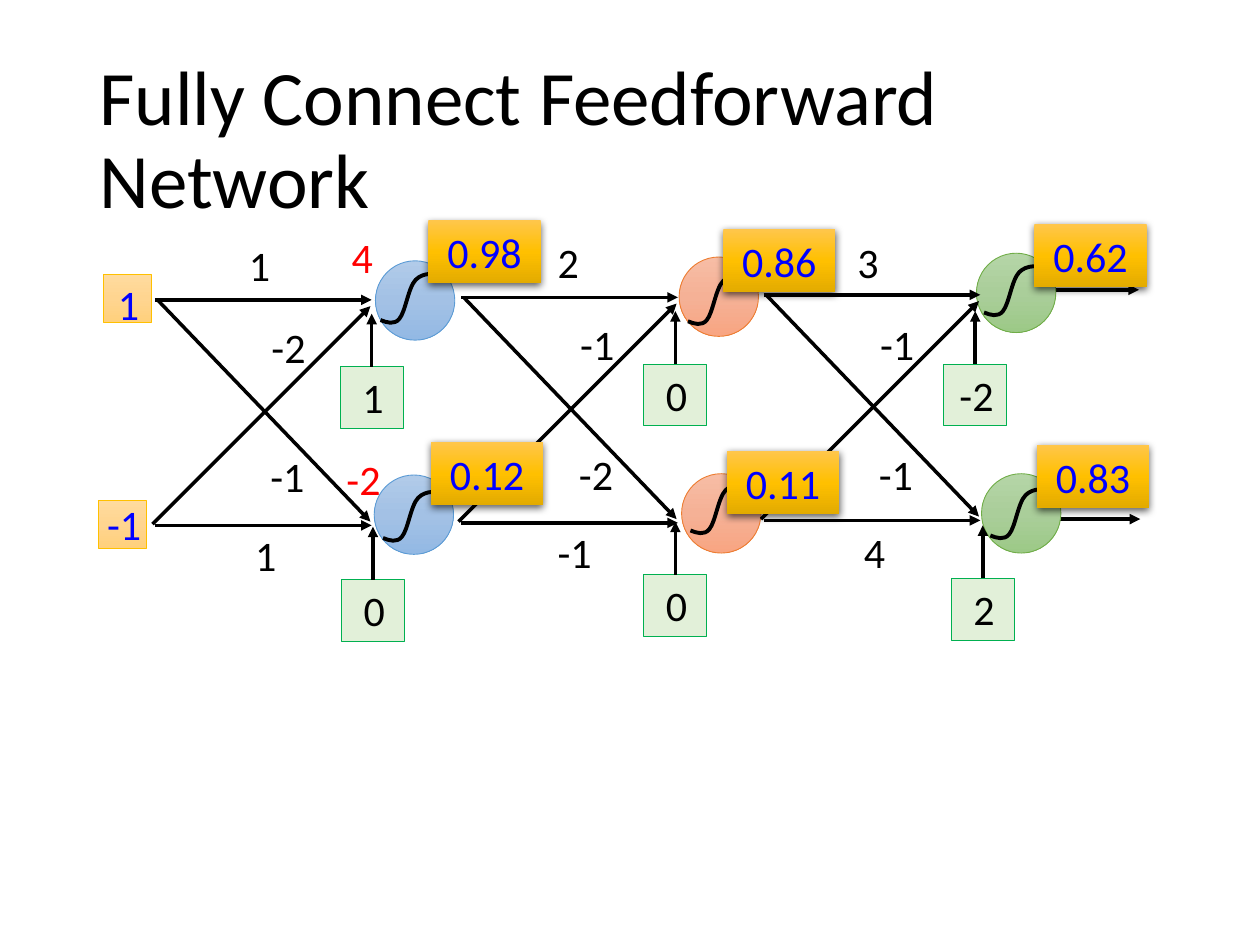
from copy import deepcopy
from lxml.etree import SubElement
from pptx import Presentation
from pptx.dml.color import RGBColor
from pptx.enum.shapes import MSO_CONNECTOR, MSO_SHAPE
from pptx.enum.text import MSO_ANCHOR, MSO_AUTO_SIZE, PP_ALIGN
from pptx.oxml.ns import qn
from pptx.util import Inches, Pt

TITLE = "Fully Connect Feedforward Network"
FONT = "Calibri"
COLORS = {"ink": "000000", "value": "0000FF", "sum": "FF0000", "bias": "E2F0D9", "bias_edge": "00B050"}
GRADIENTS = {
    "blue": ("B1CBE9", "A3C1E5", "93B9E4"),
    "orange": ("F7BDA5", "F5B196", "F8A582"),
    "green": ("B5D5A7", "AACE9A", "9CC987"),
    "gold": ("FFC64B", "FFC000", "E3AB00"),
    "sand": ("FFDB9E", "FFD590", "FFD07C"),
}
EDGES = {"blue": "5B9BD5", "orange": "ED7D31", "green": "70AD47", "sand": "FFC000"}

LAYERS = [
    {"color": "blue", "links": (1.21, 2.38), "label": (2.06, 1.85), "weights": ("1", "-2", "1", "-1"),
     "neurons": [
         {"at": (2.98, 2.07), "curve": (3.02, 2.17), "bias": ("1", 2.7, 2.91), "value": ("0.98", 3.4, 1.75)},
         {"at": (2.97, 3.77), "curve": (3.04, 3.9), "bias": ("0", 2.71, 4.6), "value": ("0.12", 3.42, 3.51)}]},
    {"color": "orange", "links": (3.64, 2.36), "label": (4.51, 1.83), "weights": ("2", "-1", "-1", "-2"),
     "neurons": [
         {"at": (5.39, 2.04), "curve": (5.46, 2.18), "bias": ("0", 5.11, 2.89), "value": ("0.86", 5.74, 1.82)},
         {"at": (5.41, 3.76), "curve": (5.48, 3.84), "bias": ("0", 5.11, 4.56), "value": ("0.11", 5.77, 3.58)}]},
    {"color": "green", "links": (6.04, 2.34), "label": (6.89, 1.83), "weights": ("3", "-1", "4", "-1"),
     "neurons": [
         {"at": (7.75, 2.01), "curve": (7.81, 2.11), "bias": ("-2", 7.49, 2.89), "value": ("0.62", 8.21, 1.78)},
         {"at": (7.79, 3.76), "curve": (7.86, 3.88), "bias": ("2", 7.55, 4.59), "value": ("0.83", 8.23, 3.53)}]},
]
LINKS = [(0, 1.78, 1.73, 0.05), (0.04, 0, 1.73, 1.76), (0.02, 1.79, 1.74, 1.79), (0.02, 0, 1.74, 0)]
WEIGHT_SPOTS = [(0, 0, 0.38), (0.23, 0.65, 0.48), (0.05, 2.3, 0.78), (0.22, 1.68, 0.78)]
OUTPUTS = [(8.33, 4.12, 9.05, 4.12), (8.33, 2.3, 9.04, 2.3)]
SUMS = [("4", 2.64, 1.79, 0.47), ("-2", 2.51, 3.55, 0.75)]
INPUTS = [("1", (0.82, 2.18), (0.83, 2.16, 0.38)), ("-1", (0.78, 3.97), (0.72, 3.91, 0.53))]
SIGMOID = [(0.51, 0.01), (0.43, 0), (0.34, -0.01), (0.28, 0.05), (0.22, 0.11),
           (0.2, 0.3), (0.15, 0.36), (0.11, 0.41), (0.05, 0.39), (0, 0.37)]
SIGMOID_HEIGHT = 0.39
LABEL_HEIGHT = 0.5

deck = Presentation()
deck.slide_width, deck.slide_height = Inches(10), Inches(7.5)
page = deck.slides.add_slide(deck.slide_layouts[5])


def rgb(value):
    return RGBColor.from_string(value)


def write(shape, text, color, size=24, align=PP_ALIGN.CENTER):
    frame = shape.text_frame
    frame.word_wrap = True
    frame.text = text
    para = frame.paragraphs[0]
    para.alignment = align
    font = para.runs[0].font
    font.name, font.size = FONT, Pt(size)
    font.color.rgb = rgb(COLORS[color])


def add_label(home, text, left, top, width, color="ink"):
    box = home.shapes.add_textbox(Inches(left), Inches(top), Inches(width), Inches(LABEL_HEIGHT))
    write(box, text, color)
    box.text_frame.auto_size = MSO_AUTO_SIZE.SHAPE_TO_FIT_TEXT


def add_arrow(home, *ends):
    arrow = home.shapes.add_connector(MSO_CONNECTOR.STRAIGHT, *map(Inches, ends))
    arrow.line.color.rgb = rgb(COLORS["ink"])
    arrow.line.width = Pt(2)
    properties = arrow._element.spPr
    SubElement(properties.find(qn("a:ln")), qn("a:tailEnd"), type="triangle")
    SubElement(properties, qn("a:effectLst"))


def add_block(home, kind, left, top, width, height, edge=None):
    shape = home.shapes.add_shape(kind, *map(Inches, (left, top, width, height)))
    shape.shadow.inherit = False
    if edge:
        shape.line.color.rgb = rgb(edge)
        shape.line.width = Pt(0.5)
    else:
        shape.line.fill.background()
    return shape


def shade(shape, name):
    shape.fill.gradient()
    shape.fill.gradient_angle = 270
    stops = shape._element.spPr.find(".//" + qn("a:gsLst"))
    stops.insert(1, deepcopy(stops[0]))
    for index, stop in enumerate(shape.fill.gradient_stops):
        stop.position = index / 2
        stop.color.rgb = rgb(GRADIENTS[name][index])


def add_sigmoid(left, top):
    placed = [(Inches(left + x), Inches(top + y)) for x, y in SIGMOID]
    builder = page.shapes.build_freeform(*placed[0])
    builder.add_line_segments(placed[1:], close=False)
    curve = builder.convert_to_shape()
    curve.shadow.inherit = False
    curve.fill.background()
    curve.line.color.rgb = rgb(COLORS["ink"])
    curve.line.width = Pt(2.25)
    outline = curve._element.spPr.find(".//" + qn("a:path"))
    rise = Inches(top) - curve.top
    for point in outline.iter(qn("a:pt")):
        point.set("y", str(int(point.get("y")) - rise))
    segments = outline.findall(qn("a:lnTo"))
    for start in range(0, len(segments), 3):
        bend = SubElement(outline, qn("a:cubicBezTo"))
        for segment in segments[start:start + 3]:
            bend.append(segment[0])
            outline.remove(segment)
    curve.top, curve.height = Inches(top), Inches(SIGMOID_HEIGHT)
    outline.set("h", str(Inches(SIGMOID_HEIGHT)))


def add_bias(text, left, top):
    group = page.shapes.add_group_shape()
    block = add_block(group, MSO_SHAPE.RECTANGLE, left, top, 0.5, 0.49, COLORS["bias_edge"])
    block.fill.solid()
    block.fill.fore_color.rgb = rgb(COLORS["bias"])
    add_arrow(group, left + 0.25, top, left + 0.25, top - 0.42)
    add_label(group, text, left + 0.02, top - 0.01, 0.48)


def add_value(text, left, top):
    block = add_block(page, MSO_SHAPE.RECTANGLE, left, top, 0.89, LABEL_HEIGHT)
    shade(block, "gold")
    effects = block._element.spPr.find(qn("a:effectLst"))
    shadow = SubElement(effects, qn("a:outerShdw"), blurRad=str(Pt(4.5)), dist=str(Pt(1.5)),
                        dir="5400000", algn="ctr", rotWithShape="0")
    tint = SubElement(shadow, qn("a:srgbClr"), val=COLORS["ink"])
    SubElement(tint, qn("a:alpha"), val="63000")
    write(block, text, "value")
    block.text_frame.auto_size = MSO_AUTO_SIZE.SHAPE_TO_FIT_TEXT


title = page.shapes.title
title.left, title.top, title.width, title.height = map(Inches, (0.69, 0.4, 8.62, 1.45))
write(title, TITLE, "ink", 44, PP_ALIGN.LEFT)
title.text_frame.auto_size = MSO_AUTO_SIZE.NONE
title.text_frame.vertical_anchor = MSO_ANCHOR.MIDDLE
title.text_frame.paragraphs[0].line_spacing = 0.9

for ends in OUTPUTS:
    add_arrow(page, *ends)

neurons = [neuron for layer in LAYERS for neuron in layer["neurons"]]
for layer in LAYERS:
    for neuron in layer["neurons"]:
        circle = add_block(page, MSO_SHAPE.OVAL, *neuron["at"], 0.63, 0.63, EDGES[layer["color"]])
        shade(circle, layer["color"])
for layer in LAYERS:
    left, top = layer["links"]
    group = page.shapes.add_group_shape()
    for x1, y1, x2, y2 in LINKS:
        add_arrow(group, left + x1, top + y1, left + x2, top + y2)
for neuron in neurons:
    add_sigmoid(*neuron["curve"])
for layer in LAYERS:
    center, top = layer["label"]
    for text, (dx, dy, width) in zip(layer["weights"], WEIGHT_SPOTS):
        add_label(page, text, center + dx - width / 2, top + dy, width)
for neuron in neurons:
    add_bias(*neuron["bias"])
for text, left, top, width in SUMS:
    add_label(page, text, left, top, width, "sum")
for neuron in neurons:
    add_value(*neuron["value"])
for text, corner, spot in INPUTS:
    shade(add_block(page, MSO_SHAPE.RECTANGLE, *corner, 0.38, 0.38, EDGES["sand"]), "sand")
    add_label(page, text, *spot, "value")

deck.save("out.pptx")
